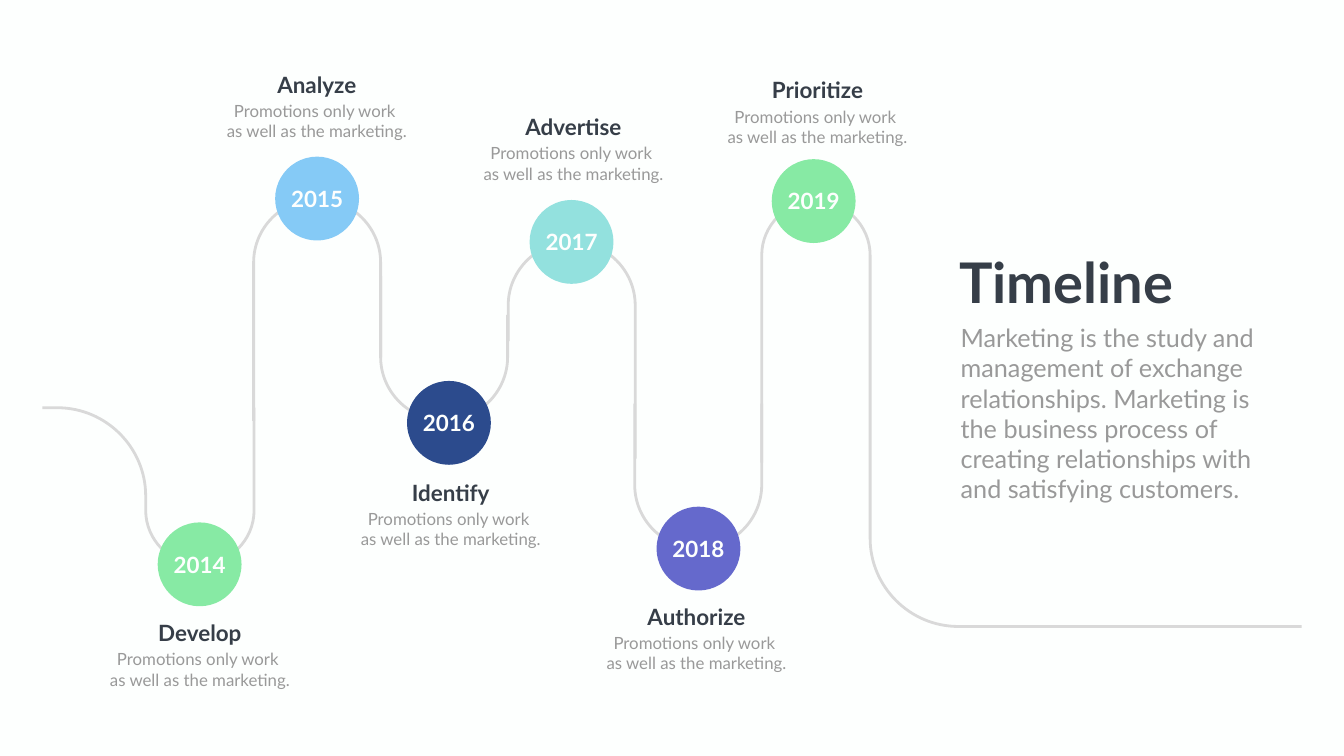
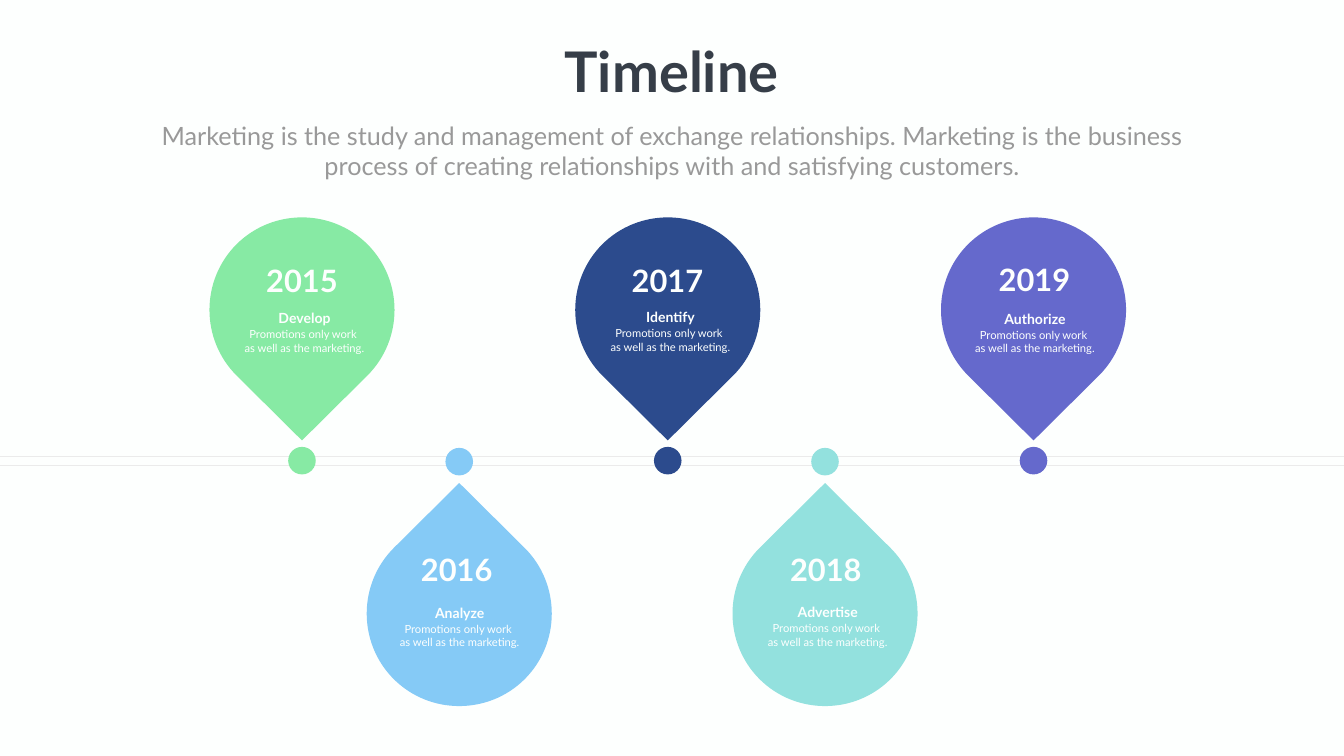
"""Build two timeline slides: a winding road and a row of drop markers."""
import pptx
import pptx.dml.color
import pptx.enum.shapes
import pptx.enum.text
import pptx.oxml.ns
import pptx.util

Pt = pptx.util.Pt
RGBColor = pptx.dml.color.RGBColor
ALIGN = pptx.enum.text.PP_ALIGN
SHAPE = pptx.enum.shapes.MSO_SHAPE

PAPER = RGBColor(0xFD, 0xFF, 0xFE)
INK = RGBColor(0x36, 0x3E, 0x48)
GREY = RGBColor(0x99, 0x99, 0x99)
ROAD = RGBColor(0xD9, 0xD9, 0xD9)
RAIL = RGBColor(0xEB, 0xEB, 0xEB)
GREEN = RGBColor(0x87, 0xEA, 0xA4)
SKY = RGBColor(0x85, 0xCA, 0xF6)
NAVY = RGBColor(0x2C, 0x4B, 0x8D)
TEAL = RGBColor(0x93, 0xE1, 0xDE)
VIOLET = RGBColor(0x65, 0x69, 0xCC)

WIDTH, HEIGHT = 1919.52, 1080
KAPPA = 0.55

TITLE = {"name": "Lato", "size": Pt(80), "bold": True}
INTRO = {"name": "Lato", "size": Pt(36), "bold": False}
HEADING = {"name": "Lato", "size": Pt(32), "bold": True}
NOTE = {"name": "Lato", "size": Pt(24), "bold": False}
DROP_YEAR = {"name": "Lato", "size": Pt(44), "bold": True}
DROP_HEADING = {"name": "Lato", "size": Pt(20), "bold": True}
DROP_NOTE = {"name": "Lato", "size": Pt(16), "bold": False}

TITLE_TEXT = ["Timeline"]
INTRO_TEXT = ["Marketing is the study and management of exchange relationships. "
              "Marketing is the business process of creating relationships with "
              "and satisfying customers."]
NOTE_TEXT = ["Promotions only work ", "as well as the marketing."]

# Each road piece: start, corners with their radius, end.
ROADS = [
    ((362.9, 582.5), [(362.9, 806.4, 77.4), (208.1, 806.4, 77.4), (208.1, 582.5, 126)],
     (60.5, 582.5)),
    ((1087.9, 661), [(1087.9, 287.3, 77.4), (1242.7, 287.3, 77.4), (1242.7, 895, 126)],
     (1859, 895)),
    ((362.2, 601.2), [(362.2, 284.4, 90.7), (543.6, 284.4, 90.7)], (543.6, 510.5)),
    ((725.8, 487.4), [(725.8, 345.6, 90.7), (907.2, 345.6, 90.7)], (907.2, 655.2)),
    ((725, 450), [(725, 600.5, 90.7), (543.6, 600.5, 90.7)], (543.6, 394.6)),
    ((1087.9, 576.7), [(1087.9, 783.4, 90.7), (906.5, 783.4, 90.7)], (906.5, 576.7)),
]

STOPS = [
    ("2014", "Develop", GREEN, (285.1, 806.2), (285.5, 881.3)),
    ("2015", "Analyze", SKY, (452.9, 283.7), (452.5, 97.9)),
    ("2016", "Identify", NAVY, (641.2, 604.1), (643.7, 681.1)),
    ("2017", "Advertise", TEAL, (816.3, 345.6), (819, 158.4)),
    ("2018", "Authorize", VIOLET, (997.6, 783.7), (994.7, 858.2)),
    ("2019", "Prioritize", GREEN, (1162.1, 287.3), (1167.5, 105.8)),
]

DROPS = [
    ("2015", "Develop", GREEN, 1, (431.3, 370.1), (434.9, 439.2)),
    ("2016", "Analyze", SKY, -1, (652.3, 782.6), (656.6, 859.7)),
    ("2017", "Identify", NAVY, 1, (953.3, 370.1), (957.6, 437.8)),
    ("2018", "Advertise", TEAL, -1, (1179.4, 782.6), (1182.2, 859)),
    ("2019", "Authorize", VIOLET, 1, (1477.4, 368.6), (1478.2, 439.9)),
]


def add_page(deck):
    page = deck.slides.add_slide(deck.slide_layouts[6])
    page.background.fill.solid()
    page.background.fill.fore_color.rgb = PAPER
    return page


def add_text(page, left, top, width, height, lines, style, color,
             align=ALIGN.CENTER, wrap=True):
    box = page.shapes.add_textbox(Pt(left), Pt(top), Pt(width), Pt(height))
    frame = box.text_frame
    frame.word_wrap = wrap
    frame.auto_size = pptx.enum.text.MSO_AUTO_SIZE.SHAPE_TO_FIT_TEXT
    for index, line in enumerate(lines):
        para = frame.add_paragraph() if index else frame.paragraphs[0]
        para.alignment = align
        span = para.add_run()
        span.text = line
        for key, value in style.items():
            setattr(span.font, key, value)
        span.font.color.rgb = color


def paint(shape, fill=None, line=None, weight=0):
    shape.shadow.inherit = False
    if fill is None:
        shape.fill.background()
    else:
        shape.fill.solid()
        shape.fill.fore_color.rgb = fill
    if line is None:
        shape.line.fill.background()
    else:
        shape.line.color.rgb = line
        shape.line.width = Pt(weight)


def add_circle(page, x, y, diameter, color):
    corner = Pt(x - diameter / 2), Pt(y - diameter / 2)
    circle = page.shapes.add_shape(SHAPE.OVAL, *corner, Pt(diameter), Pt(diameter))
    paint(circle, color)


def add_outline(page, start, segments, close):
    """Draw segments of one point as lines and of three points as curves."""
    builder = page.shapes.build_freeform(Pt(start[0]), Pt(start[1]))
    points = [(Pt(x), Pt(y)) for segment in segments for x, y in segment]
    builder.add_line_segments(points, close=close)
    shape = builder.convert_to_shape()
    steps = iter(list(shape.element.iter(pptx.oxml.ns.qn("a:lnTo"))))
    for segment in segments:
        first = next(steps)
        if len(segment) == 3:
            first.tag = pptx.oxml.ns.qn("a:cubicBezTo")
            for step in (next(steps), next(steps)):
                first.append(step[0])
                step.getparent().remove(step)
    return shape


def toward(corner, other, distance):
    """Give the point at a distance from a corner along a level or upright leg."""
    legs = [b - a for a, b in zip(corner, other)]
    length = max(map(abs, legs))
    return tuple(a + leg / length * distance for a, leg in zip(corner, legs))


def add_road(page, start, corners, end):
    stations = [start] + [(x, y) for x, y, radius in corners] + [end]
    segments = []
    for index, (x, y, radius) in enumerate(corners):
        before, corner, after = stations[index:index + 3]
        handle = radius * (1 - KAPPA)
        segments.append([toward(corner, before, radius)])
        segments.append([toward(corner, before, handle), toward(corner, after, handle),
                         toward(corner, after, radius)])
    segments.append([end])
    paint(add_outline(page, start, segments, False), line=ROAD, weight=4)


def add_drop(page, x, y, direction, color):
    """Draw a round drop whose tip points down (1) or up (-1)."""
    side, near, far, tip = 93.6, 42, 145, 186.5

    def place(*offsets):
        return [(x + across, y + direction * down) for across, down in offsets]

    segments = [
        place((near, -far), (-near, -far), (-side, -side)),
        place((-far, -near), (-far, near), (-side, side)),
        place((0, tip)),
        place((side, side)),
        place((far, near), (far, -near), (side, -side)),
    ]
    paint(add_outline(page, place((side, -side))[0], segments, True), color)


def add_label(page, x, top, name, heading, note, colors, sizes):
    """Put a centred heading over the shared note."""
    heading_width, heading_height, note_drop, note_width, note_height = sizes
    add_text(page, x - heading_width / 2, top, heading_width, heading_height,
             [name], heading, colors[0])
    add_text(page, x - note_width / 2, top + note_drop, note_width, note_height,
             NOTE_TEXT, note, colors[1])


def build_road_page(deck):
    page = add_page(deck)
    for road in ROADS:
        add_road(page, *road)
    for year, name, color, (x, y), (label_x, label_top) in STOPS:
        add_circle(page, x, y, 119.8, color)
        add_text(page, x - 45.4, y - 23, 90.8, 46, [year], HEADING, PAPER)
        add_label(page, label_x, label_top, name, HEADING, NOTE, (INK, GREY),
                  (188, 46, 42.5, 289.4, 65.5))
    add_text(page, 1363, 350, 326, 104.4, TITLE_TEXT, TITLE, INK, ALIGN.LEFT, False)
    add_text(page, 1365, 457.2, 471, 269.3, INTRO_TEXT, INTRO, GREY, ALIGN.LEFT)


def build_drop_page(deck):
    page = add_page(deck)
    rail = page.shapes.add_shape(SHAPE.RECTANGLE, Pt(-10), Pt(651.6),
                                 Pt(WIDTH + 20), Pt(13))
    paint(rail, PAPER, RAIL, 0.75)
    for index, (year, name, color, direction, (year_x, year_top), label) in enumerate(DROPS):
        x = (431.3, 655.9)[index % 2] + 522.4 * (index // 2)
        add_circle(page, x, 658.1 if direction > 0 else 659.5, 39.4, color)
        add_drop(page, x, 442.7 if direction > 0 else 876.5, direction, color)
        add_text(page, year_x - 74.2, year_top, 148.4, 60.5, [year], DROP_YEAR, PAPER)
        add_label(page, *label, name, DROP_HEADING, DROP_NOTE, (PAPER, PAPER),
                  (121, 31.7, 25.3, 187.2, 46))
    add_text(page, 796.3, 49, 326, 104.4, TITLE_TEXT, TITLE, INK, wrap=False)
    add_text(page, 193, 168.5, 1533.6, 94.3, INTRO_TEXT, INTRO, GREY)


def main():
    deck = pptx.Presentation()
    deck.slide_width, deck.slide_height = Pt(WIDTH), Pt(HEIGHT)
    build_road_page(deck)
    build_drop_page(deck)
    deck.save("out.pptx")


if __name__ == "__main__":
    main()
